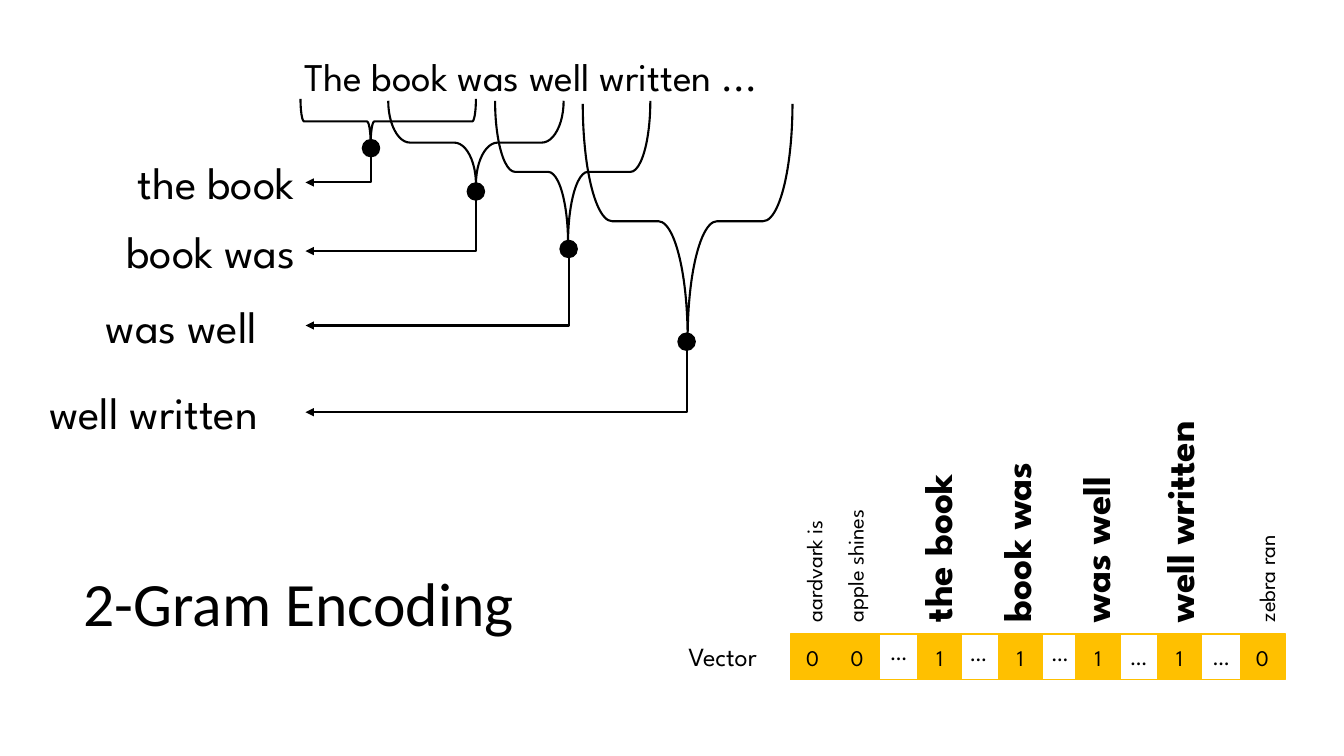
"""Build the 2-Gram Encoding slide."""
from lxml import etree
from pptx import Presentation
from pptx import util as u
from pptx.dml.color import RGBColor
from pptx.enum import shapes, text
from pptx.oxml import ns

BLACK = RGBColor(0x00, 0x00, 0x00)
WHITE = RGBColor(0xFF, 0xFF, 0xFF)
GOLD = RGBColor(0xFF, 0xC0, 0x00)

LEFT, CENTER, RIGHT = text.PP_ALIGN.LEFT, text.PP_ALIGN.CENTER, text.PP_ALIGN.RIGHT
ARROW_TIP = 3.03
DOT = 0.17
LABEL_BOTTOM = 6.27
CELL = 0.44
CELL_TOP = 6.3

BIGRAMS = [
    ("the book", (0.82, 1.49, 2.2, 0.64), RIGHT, (2.98, 0.98, 1.74, 0.45),
     (0.08, 0.6), (3.68, 1.47), 1.81, 9.29, 1.9),
    ("book was", (0.73, 2.17, 2.3, 0.64), RIGHT, (3.85, 1, 1.74, 0.83),
     (0.26, 0.5), (4.72, 1.9), 2.49, 10.08, 2.05),
    ("was well", (0.95, 2.91, 2.08, 0.64), LEFT, (4.91, 1, 1.54, 1.41),
     (0.14, 0.53), (5.64, 2.47), 3.23, 10.86, 1.81),
    ("well written", (0.39, 3.77, 2.64, 0.64), LEFT, (5.78, 1.03, 2.08, 2.33),
     (0.14, 0.5), (6.81, 3.39), 4.09, 11.69, 2.32),
]
OTHER_LABELS = [("aardvark is", 8.04, 1.96), ("apple shines", 8.45, 1.64),
                ("zebra ran", 12.53, 1.35)]
CELLS = [("0", 7.84), ("0", 8.28), ("1", 9.1), ("1", 9.9), ("1", 10.67),
         ("1", 11.48), ("0", 12.3)]
GAPS = [(8.73, 6.28), (9.52, 6.29), (10.33, 6.29), (11.11, 6.33), (11.93, 6.33)]


class SlideBuilder:
    """Hold the slide and its style, with a method for each kind of element."""

    def __init__(self, presentation):
        self.slide = presentation.slides.add_slide(presentation.slide_layouts[5])
        self.font = {"name": "League Spartan", "bold": False}

    def set_text(self, shape, words, size, align=LEFT, anchor=text.MSO_ANCHOR.TOP,
                 **font):
        frame = shape.text_frame
        frame.text = words
        frame_format = {"word_wrap": True, "vertical_anchor": anchor,
                        "auto_size": text.MSO_AUTO_SIZE.NONE}
        for name, value in frame_format.items():
            setattr(frame, name, value)
        paragraph = frame.paragraphs[0]
        paragraph.alignment = align
        run_font = paragraph.runs[0].font
        for name, value in {**self.font, "size": u.Pt(size), **font}.items():
            setattr(run_font, name, value)
        run_font.color.rgb = BLACK

    def title(self, words, box):
        title = self.slide.shapes.title
        for name, value in zip(("left", "top", "width", "height"), box):
            setattr(title, name, u.Inches(value))
        self.set_text(title, words, 44, anchor=text.MSO_ANCHOR.MIDDLE, name="Calibri")
        title.text_frame.paragraphs[0].line_spacing = 0.9

    def text_box(self, words, box, size, align=LEFT, **font):
        shape = self.slide.shapes.add_textbox(*map(u.Inches, box))
        self.set_text(shape, words, size, align, **font)
        return shape

    def upright_label(self, words, center, length, thickness, size, **font):
        box = (center - length / 2, LABEL_BOTTOM - length / 2 - thickness / 2,
               length, thickness)
        self.text_box(words, box, size, **font).rotation = 270

    def shape(self, kind, box, fill, line, width):
        shape = self.slide.shapes.add_shape(kind, *map(u.Inches, box))
        shape.shadow.inherit = False
        if fill is None:
            shape.fill.background()
        else:
            shape.fill.solid()
            shape.fill.fore_color.rgb = fill
        shape.line.color.rgb = line
        shape.line.width = u.Pt(width)
        return shape

    def cell(self, words, left):
        shape = self.shape(shapes.MSO_SHAPE.RECTANGLE, (left, CELL_TOP, CELL, CELL),
                           GOLD, GOLD, 0.75)
        self.set_text(shape, words, 16, CENTER, text.MSO_ANCHOR.MIDDLE)

    def brace(self, box, adjustments):
        left, top, span, depth = box
        turned = (left + (span - depth) / 2, top + (depth - span) / 2, depth, span)
        shape = self.shape(shapes.MSO_SHAPE.RIGHT_BRACE, turned, None, BLACK, 1.5)
        shape.rotation = 90
        for index, value in enumerate(adjustments):
            shape.adjustments[index] = value

    def dot(self, x, y):
        self.shape(shapes.MSO_SHAPE.OVAL, (x - DOT / 2, y - DOT / 2, DOT, DOT),
                   BLACK, BLACK, 1)

    def elbow_arrow(self, start, end):
        middle_x, middle_y = (start[0] + end[0]) / 2, (start[1] + end[1]) / 2
        drop, run = end[1] - start[1], start[0] - end[0]
        corners = (middle_x - drop / 2, middle_y - run / 2,
                   middle_x + drop / 2, middle_y + run / 2)
        connector = self.slide.shapes.add_connector(
            shapes.MSO_CONNECTOR.ELBOW, *map(u.Inches, corners))
        connector.line.color.rgb = BLACK
        connector.line.width = u.Pt(1.5)
        properties = connector._element.spPr
        properties.find(ns.qn("a:xfrm")).set("rot", "5400000")
        properties.find(ns.qn("a:prstGeom")).set("prst", "bentConnector2")
        line = properties.find(ns.qn("a:ln"))
        etree.SubElement(line, ns.qn("a:tailEnd")).set("type", "triangle")
        etree.SubElement(properties, ns.qn("a:effectLst"))


def main():
    presentation = Presentation()
    presentation.slide_width = u.Inches(13.33)
    presentation.slide_height = u.Inches(7.5)
    builder = SlideBuilder(presentation)

    builder.title("2-Gram Encoding", (0.73, 5.29, 11.36, 1.45))
    builder.text_box("The book was well written ...", (2.92, 0.47, 5.49, 0.57), 28)
    for (phrase, box, align, brace, adjustments, dot, arrow_y,
         label_x, label_length) in BIGRAMS:
        builder.text_box(phrase, box, 32, align)
        builder.brace(brace, adjustments)
        builder.elbow_arrow((dot[0], dot[1] + DOT / 2), (ARROW_TIP, arrow_y))
        builder.dot(*dot)
        builder.upright_label(phrase, label_x, label_length, 0.57, 28, bold=True)

    for words, center, length in OTHER_LABELS:
        builder.upright_label(words, center, length, 0.31, 16)
    builder.text_box("Vector", (6.73, 6.3, 1.11, 0.42), 18.7)
    builder.shape(shapes.MSO_SHAPE.RECTANGLE, (7.84, 6.29, 4.91, 0.45), WHITE, GOLD, 1)
    for words, left in CELLS:
        builder.cell(words, left)
    for left, top in GAPS:
        builder.text_box("…", (left, top, 0.36, 0.37), 16)

    presentation.save("out.pptx")


if __name__ == "__main__":
    main()
